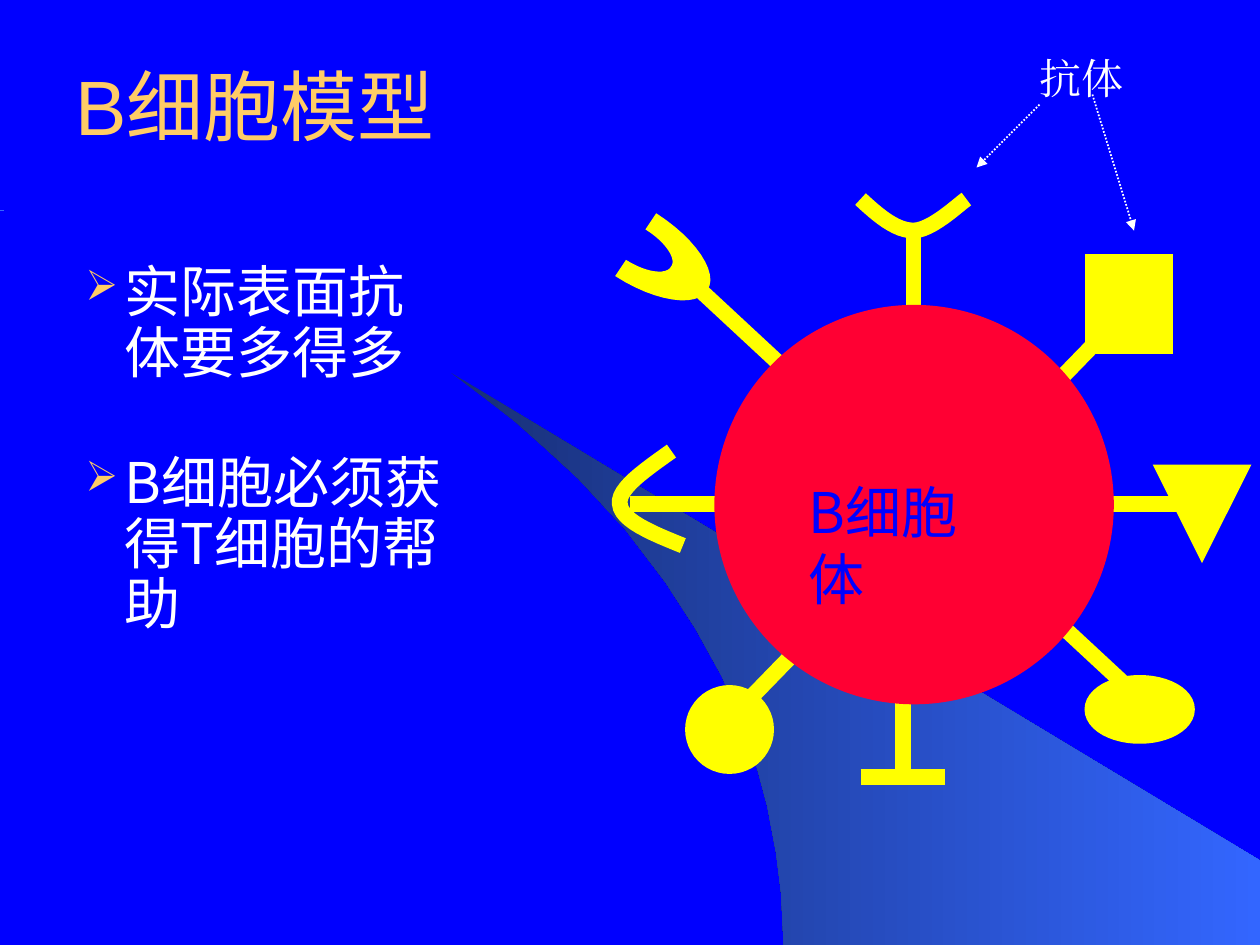
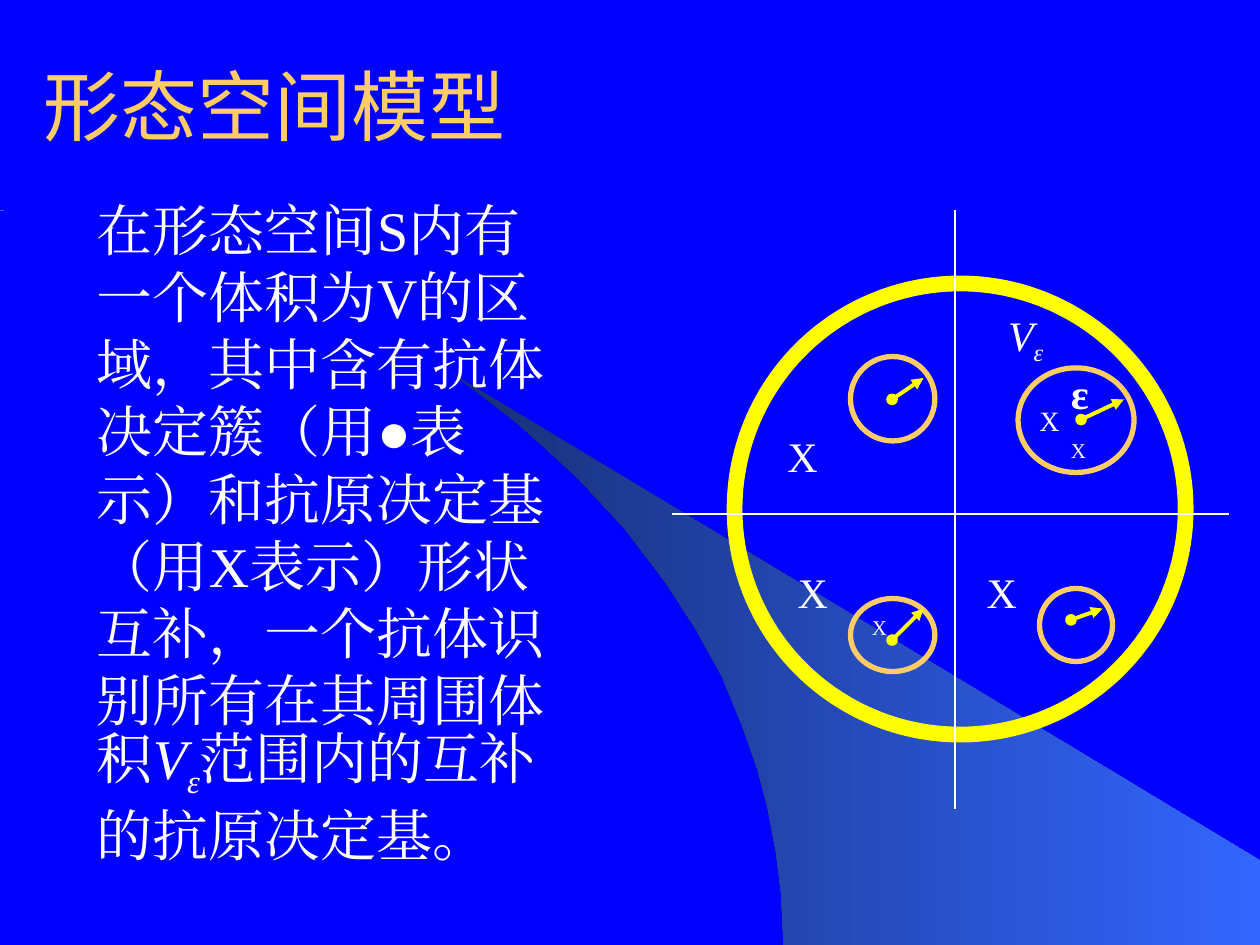
from lxml.etree import SubElement
from pptx import Presentation
from pptx.dml.color import RGBColor
from pptx.enum.dml import MSO_LINE
from pptx.enum.shapes import MSO_CONNECTOR, MSO_SHAPE
from pptx.enum.text import MSO_ANCHOR
from pptx.oxml.ns import qn
from pptx.util import Inches, Pt

BLUE, YELLOW, WHITE, GOLD, RED = "0000FF", "FFFF00", "FFFFFF", "FFCC66", "FF0033"
BEAM_DARK, BEAM_LIGHT = "182F76", "3366FF"
SERIF, SANS, CJK = "Times New Roman", "Arial", "Noto Sans CJK SC"
PAD = (0.1, 0.05)
THICK = 9

BEAM = [(6.22, 7.5), (10, 7.5), (10, 6.83), (3.58, 2.96), (3.86, 3.17), (4.08, 3.34),
        (4.34, 3.57), (4.59, 3.8), (4.96, 4.2), (5.28, 4.62), (5.52, 4.99), (5.73, 5.37),
        (5.89, 5.76), (6.01, 6.1), (6.09, 6.4), (6.16, 6.77), (6.2, 7.09)]


def rgb(color):
    """Turn a hex string into a colour."""
    return RGBColor.from_string(color)


def style_line(line, color, width, dash=None, head=None, tail=None):
    """Set colour, width, dash, mitred joins and arrowheads of a line."""
    line.color.rgb = rgb(color)
    line.width = Pt(width)
    if dash:
        line.dash_style = dash
    ln = line._get_or_add_ln()
    SubElement(ln, qn("a:miter"), lim="800000")
    for tag, kind in (("a:headEnd", head), ("a:tailEnd", tail)):
        if kind:
            SubElement(ln, qn(tag), type=kind)


def paint(sp, fill=None, line=None, width=THICK):
    """Give a shape its fill and outline, without a shadow."""
    sp.shadow.inherit = False
    if fill:
        sp.fill.solid()
        sp.fill.fore_color.rgb = rgb(fill)
    else:
        sp.fill.background()
    if line:
        style_line(sp.line, line, width)
    else:
        sp.line.fill.background()


def add_preset(s, kind, box, fill=None, line=None, width=THICK):
    """Add a preset shape."""
    paint(s.shapes.add_shape(kind, *map(Inches, box)), fill, line, width)


def add_line(s, start, end, color=YELLOW, width=THICK, **ends):
    """Add a straight line or arrow."""
    c = s.shapes.add_connector(MSO_CONNECTOR.STRAIGHT, *map(Inches, start + end))
    style_line(c.line, color, width, **ends)
    SubElement(c._element.spPr, qn("a:effectLst"))


def curve(start, *segments, steps=12):
    """Return points along a chain of cubic curves."""
    points = [start]
    for b, c, d in segments:
        a = points[-1]
        for i in range(1, steps + 1):
            t = i / steps
            u = 1 - t
            points.append(tuple(u**3 * a[k] + 3 * u * u * t * b[k] + 3 * u * t * t * c[k]
                                + t**3 * d[k] for k in (0, 1)))
    return points


def add_outline(s, points, close=False):
    """Add a freeform through points given in inches."""
    points = [(Inches(x), Inches(y)) for x, y in points]
    builder = s.shapes.build_freeform(*points[0], scale=1.0)
    builder.add_line_segments(points[1:], close=close)
    return builder.convert_to_shape()


def add_text(s, box, paragraphs, size, font=SERIF, color=WHITE, pad=(0, 0),
             spacing=1.2, gap=0, anchor=MSO_ANCHOR.TOP, wrap=True, bullet=None):
    """Add a text box of paragraphs, each a list of (text, format) runs."""
    tf = s.shapes.add_textbox(*map(Inches, box)).text_frame
    tf.word_wrap = wrap
    tf.vertical_anchor = anchor
    tf.margin_left = tf.margin_right = Inches(pad[0])
    tf.margin_top = tf.margin_bottom = Inches(pad[1])
    for i, runs in enumerate(paragraphs):
        p = tf.add_paragraph() if i else tf.paragraphs[0]
        p.line_spacing = Pt(round(size * spacing, 1))
        if i:
            p.space_before = Pt(gap)
        if bullet:
            add_bullet(p, bullet)
        for text, look in runs:
            add_run(p, text, size, font, color, **look)


def add_bullet(p, char):
    """Give a paragraph a hanging gold bullet."""
    pPr = p._p.get_or_add_pPr()
    pPr.set("marL", str(Inches(0.31)))
    pPr.set("indent", str(-Inches(0.31)))
    SubElement(SubElement(pPr, qn("a:buClr")), qn("a:srgbClr"), val=GOLD)
    SubElement(pPr, qn("a:buSzPct"), val="75000")
    SubElement(pPr, qn("a:buChar"), char=char)


def add_run(p, text, size, font, color, bold=False, italic=False, base=0):
    """Add one formatted run."""
    r = p.add_run()
    r.text = text
    r.font.size, r.font.name = Pt(size), font
    r.font.bold, r.font.italic = bold, italic
    r.font.color.rgb = rgb(color)
    rPr = r._r.get_or_add_rPr()
    SubElement(rPr, qn("a:ea"), typeface=font)
    if base:
        rPr.set("baseline", str(base * 1000))


def add_base(prs, title, box):
    """Add a slide with the background, light beam and title."""
    s = prs.slides.add_slide(prs.slide_layouts[6])
    s.background.fill.solid()
    s.background.fill.fore_color.rgb = rgb(BLUE)
    beam = add_outline(s, BEAM, close=True)
    paint(beam)
    beam.fill.gradient()
    beam.fill.gradient_angle = 0
    for stop, color in zip(beam.fill.gradient_stops, (BEAM_DARK, BEAM_LIGHT)):
        stop.color.rgb = rgb(color)
    add_line(s, (0, 1.67), (0.03, 1.67), BEAM_LIGHT, 1)
    add_text(s, box, [[(title, {})]], 44, SANS, GOLD, PAD, anchor=MSO_ANCHOR.BOTTOM)
    return s


def add_b_cell(s):
    """Draw the B cell with its surface antibodies."""
    for start, end in (((7.25, 2.42), (7.25, 1.83)), ((5.5, 2.25), (9, 5.5)),
                       ((7.17, 5.58), (7.17, 6.17)), ((6.83, 6.17), (7.5, 6.17)),
                       ((8.83, 2.58), (5.83, 5.67)), ((5, 4), (9.58, 4))):
        add_line(s, start, end)
    cup = curve((6.83, 1.58), ((6.97, 1.71), (7.11, 1.83), (7.25, 1.83)),
                ((7.39, 1.83), (7.6, 1.63), (7.67, 1.58)))
    hook = curve((5.33, 3.58), ((5.12, 3.73), (4.9, 3.88), (4.92, 4)),
                 ((4.93, 4.13), (5.17, 4.23), (5.42, 4.33)))
    claw = curve((5.13, 1.82), ((5.29, 1.92), (5.38, 2.06), (5.33, 2.12)),
                 ((5.29, 2.19), (5.13, 2.17), (4.97, 2.07)))
    claw += curve((4.89, 2.19), ((5.2, 2.39), (5.53, 2.44), (5.61, 2.3)),
                  ((5.7, 2.17), (5.52, 1.9), (5.21, 1.7)))
    paint(add_outline(s, claw, close=True), YELLOW, YELLOW, 0.75)
    add_preset(s, MSO_SHAPE.OVAL, (5.67, 2.42, 3.17, 3.17), RED)
    for arms in (cup, hook):
        paint(add_outline(s, arms), line=YELLOW)
    for kind, box in ((MSO_SHAPE.OVAL, (5.5, 5.5, 0.58, 0.58)),
                      (MSO_SHAPE.RECTANGLE, (8.67, 2.08, 0.58, 0.67)),
                      (MSO_SHAPE.OVAL, (8.67, 5.42, 0.75, 0.42)),
                      (MSO_SHAPE.FLOWCHART_MERGE, (9.25, 3.75, 0.58, 0.58))):
        add_preset(s, kind, box, YELLOW, YELLOW)
    add_text(s, (6.42, 3.79, 1.58, 1.07), [[("B细胞体", {})]], 32, CJK, BLUE)


def build_b_cell_slide(prs):
    """Build the slide on the B cell model."""
    s = add_base(prs, "B细胞模型", (0.5, 0.58, 3.59, 0.67))
    points = ["实际表面抗体要多得多", "B细胞必须获得T细胞的帮助"]
    add_text(s, (0.58, 2.04, 3.17, 4.67), [[(text, {})] for text in points], 32, CJK,
             pad=PAD, spacing=1.08, gap=40, bullet="➢")
    add_b_cell(s)
    add_text(s, (8.25, 0.42, 0.83, 0.4), [[("抗体", {})]], 24)
    for start, end in (((8.25, 0.83), (7.75, 1.33)), ((8.67, 0.75), (9, 1.83))):
        add_line(s, start, end, WHITE, 1, dash=MSO_LINE.ROUND_DOT, tail="triangle")


def build_shape_space_slide(prs):
    """Build the slide on the shape space model."""
    s = add_base(prs, "形态空间模型", (0.25, 0.5, 4.75, 0.75))
    v_epsilon = [("V", {"italic": True}), ("ε", {"italic": True, "base": -25})]
    before = ("在形态空间S内有一个体积为V的区域，其中含有抗体决定簇（用●表示）"
              "和抗原决定基（用X表示）形状互补，一个抗体识别所有在其周围体积")
    after = "范围内的互补的抗原决定基。"
    add_text(s, (0.67, 1.5, 4, 5.75), [[(before, {}), *v_epsilon, (after, {})]], 32, pad=PAD)

    add_preset(s, MSO_SHAPE.OVAL, (5.83, 2.25, 3.58, 3.58), line=YELLOW)
    add_line(s, (5.33, 4.08), (9.75, 4.08), WHITE, 1)
    add_line(s, (7.58, 1.67), (7.58, 6.42), WHITE, 1)
    for region, start, end in (
            ((6.75, 2.83, 0.67, 0.67), (7.08, 3.17), (7.33, 3)),
            ((8.08, 2.92, 0.92, 0.83), (8.58, 3.33), (8.92, 3.17)),
            ((6.75, 4.75, 0.67, 0.58), (7.08, 5.08), (7.33, 4.83)),
            ((8.25, 4.67, 0.58, 0.58), (8.5, 4.92), (8.75, 4.83))):
        add_preset(s, MSO_SHAPE.OVAL, region, line=GOLD, width=3)
        add_line(s, start, end, width=2.25, head="oval", tail="triangle")

    for left, top, size in ((8.25, 3.2, 16), (8.5, 3.47, 12), (6.33, 4.5, 24),
                            (7.83, 4.5, 24), (6.25, 3.42, 24), (6.92, 4.88, 12)):
        add_text(s, (left, top, 0.33, size / 60), [[("X", {})]], size)
    add_text(s, (8.5, 2.92, 0.14, 0.4), [[("ε", {"bold": True})]], 24, wrap=False)
    add_text(s, (8, 2.51, 0.28, 0.46), [v_epsilon], 24, wrap=False)


def main():
    """Build and save the presentation."""
    prs = Presentation()
    prs.slide_width, prs.slide_height = Inches(10), Inches(7.5)
    build_b_cell_slide(prs)
    build_shape_space_slide(prs)
    prs.save("out.pptx")


if __name__ == "__main__":
    main()
